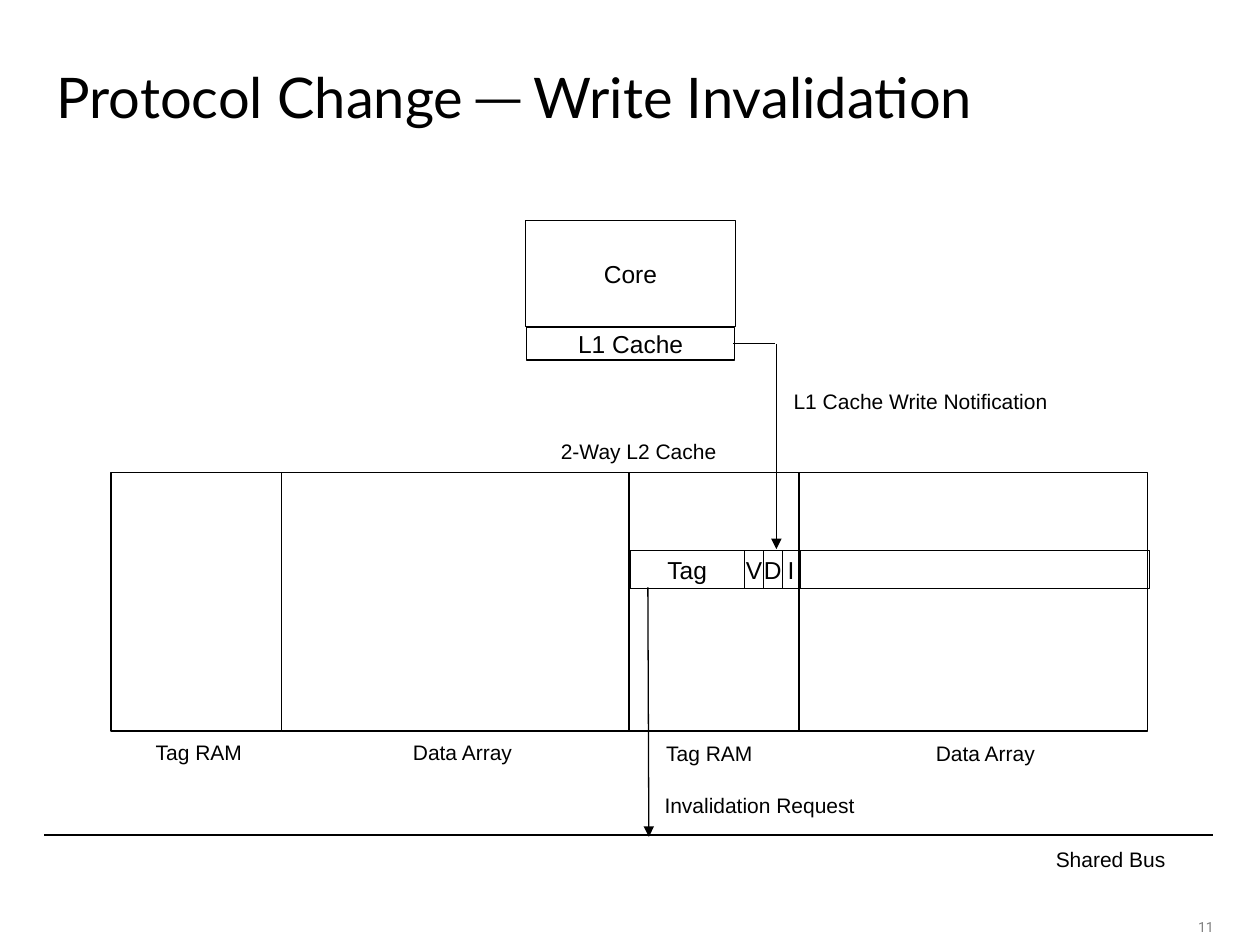
from lxml import etree
from pptx import Presentation
from pptx import util as u
from pptx.dml.color import RGBColor
from pptx.enum import shapes, text
from pptx.oxml.ns import qn

BLACK = RGBColor(0x00, 0x00, 0x00)
GRAY = RGBColor(0x80, 0x80, 0x80)
LEFT, CENTER, RIGHT = text.PP_ALIGN.LEFT, text.PP_ALIGN.CENTER, text.PP_ALIGN.RIGHT
TOP, MIDDLE = text.MSO_ANCHOR.TOP, text.MSO_ANCHOR.MIDDLE

# Content; all lengths in centimetres
TITLE = "Protocol Change ─ Write Invalidation"
PAGE_NUMBER = "11"
CORE_BOXES = [  # text, left, top, width, height
    ("Core", 10.59, 4.45, 4.24, 2.13),
    ("L1 Cache", 10.62, 6.6, 4.19, 0.66),
]
WAY_LEFTS = [2.24, 12.68]
WAY_TOP, WAY_HEIGHT = 9.53, 5.21
WAY_PARTS = [("Tag RAM", 3.43), ("Data Array", 7.02)]  # text, width
LINE_LEFT, LINE_TOP, LINE_HEIGHT = 12.7, 11.1, 0.76
LINE_FIELDS = [("Tag", 2.31), ("V", 0.38), ("D", 0.38), ("I", 0.36), ("", 7.04)]
LABELS = [  # text, left, top, width
    ("2-Way L2 Cache", 9.93, 8.71, 5.89),
    ("Tag RAM", 2.41, 14.78, 3.2),
    ("Data Array", 7.19, 14.78, 4.27),
    ("Tag RAM", 12.7, 14.81, 3.2),
    ("Data Array", 17.73, 14.81, 4.27),
    ("Shared Bus", 20.6, 16.94, 3.58),
    ("Invalidation Request", 12.7, 15.85, 5.23),
    ("L1 Cache Write Notification", 15.32, 7.7, 6.48),
]
LABEL_HEIGHT = 0.76
CONNECTORS = [  # start x, start y, end x, end y, width in points, arrowhead
    (0.89, 16.83, 24.46, 16.83, 1.25, False),  # shared bus
    (14.78, 6.93, 15.63, 6.93, 0.75, False),  # write notification
    (15.65, 6.93, 15.65, 11.07, 0.75, True),
    (13.06, 11.84, 13.08, 16.87, 0.75, True),  # invalidation request
]

presentation = Presentation()
presentation.slide_width, presentation.slide_height = u.Cm(25.4), u.Cm(19.05)
slide = presentation.slides.add_slide(presentation.slide_layouts[6])


def write(shape, words, size, font="Arial", color=BLACK, align=CENTER,
          anchor=TOP, wrap=True):
    frame = shape.text_frame
    frame.word_wrap = wrap
    frame.vertical_anchor = anchor
    paragraph = frame.paragraphs[0]
    paragraph.text = words
    paragraph.alignment = align
    paragraph.font.size = u.Pt(size)
    paragraph.font.name = font
    paragraph.font.color.rgb = color


def add_box(words, *place):
    shape = slide.shapes.add_shape(shapes.MSO_SHAPE.RECTANGLE, *map(u.Cm, place))
    shape.shadow.inherit = False
    shape.fill.background()
    shape.line.color.rgb = BLACK
    shape.line.width = u.Pt(0.75)
    if words:
        write(shape, words, 14, anchor=MIDDLE, wrap=False)


def add_text(words, place, size, **style):
    write(slide.shapes.add_textbox(*map(u.Cm, place)), words, size, **style)


def add_row(parts, left, top, height, show_text):
    for words, width in parts:
        add_box(words if show_text else "", left, top, width, height)
        left += width


def add_line(x1, y1, x2, y2, width, arrow):
    connector = slide.shapes.add_connector(
        shapes.MSO_CONNECTOR.STRAIGHT, *map(u.Cm, (x1, y1, x2, y2)))
    connector.line.color.rgb = BLACK
    connector.line.width = u.Pt(width)
    if arrow:
        line = connector.line._get_or_add_ln()
        etree.SubElement(line, qn("a:tailEnd"), type="triangle")
    etree.SubElement(connector._element.spPr, qn("a:effectLst"))


# Core and its L1 cache
for box in CORE_BOXES:
    add_box(*box)

# Two ways of the L2 cache and one cache line
for way_left in WAY_LEFTS:
    add_row(WAY_PARTS, way_left, WAY_TOP, WAY_HEIGHT, False)
add_row(LINE_FIELDS, LINE_LEFT, LINE_TOP, LINE_HEIGHT, True)

# Labels, bus and signals
for words, left, top, width in LABELS:
    add_text(words, (left, top, width, LABEL_HEIGHT), 12)
for connector_data in CONNECTORS:
    add_line(*connector_data)

# Title and page number
add_text(TITLE, (0.89, 0.89, 22.86, 2.11), 32, font="Lato", align=LEFT, anchor=MIDDLE)
add_text(PAGE_NUMBER, (23.04, 18.39, 1.68, 0.43), 8, font="Roboto", color=GRAY, align=RIGHT)

presentation.save("out.pptx")
